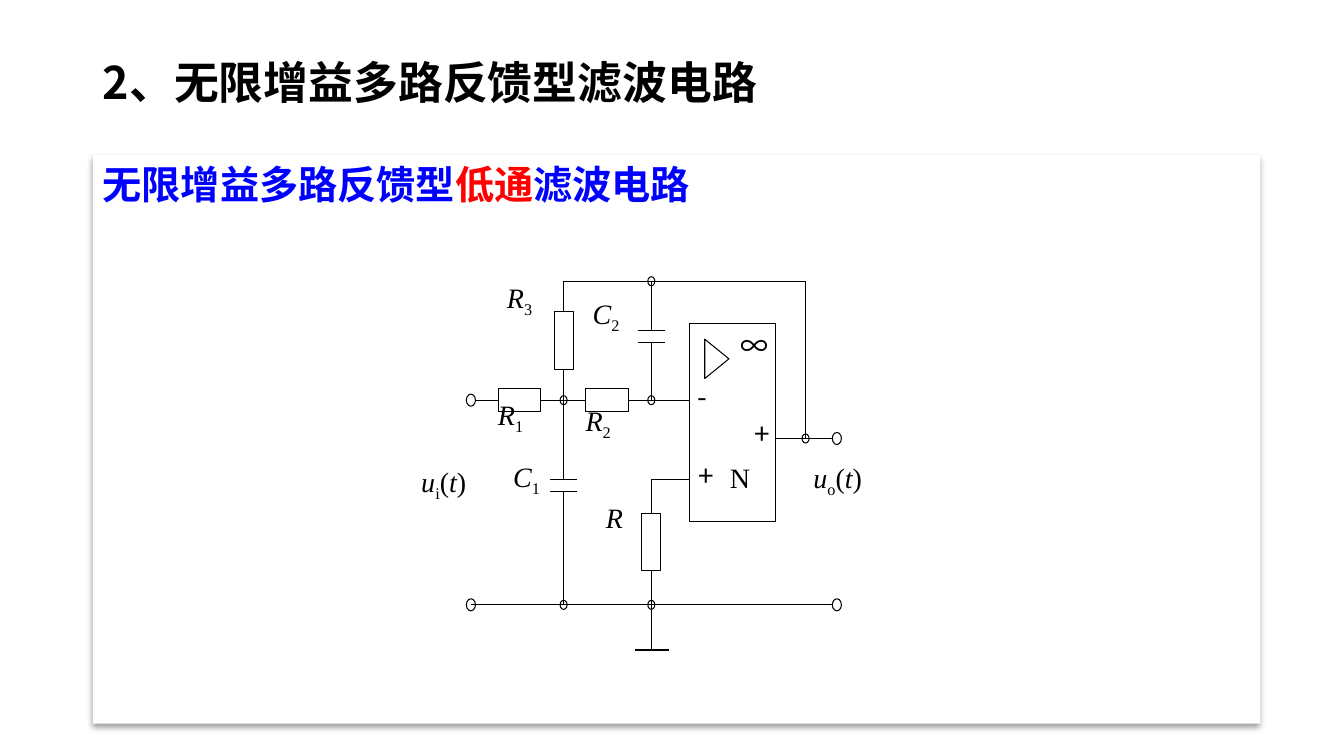
import pptx
import pptx.util
import pptx.dml.color
import pptx.enum.shapes
import pptx.enum.text
import pptx.oxml
import pptx.oxml.ns
from lxml import etree

RGB = pptx.dml.color.RGBColor
SHAPE = pptx.enum.shapes.MSO_SHAPE
ALIGN = pptx.enum.text.PP_ALIGN
ANCHOR = pptx.enum.text.MSO_ANCHOR
inches = pptx.util.Inches
qn = pptx.oxml.ns.qn

BLACK, WHITE = RGB(0, 0, 0), RGB(255, 255, 255)
BLUE, RED = RGB(0, 0, 255), RGB(255, 0, 0)
SANS, SERIF = "Noto Sans CJK SC", "Times New Roman"

# Content: a run is (text, style), where style is "", "i" (italic) or "sub", or a colour
TITLE = [("2、无限增益多路反馈型滤波电路", BLACK)]
SUBTITLE = [("无限增益多路反馈型", BLUE), ("低通", RED), ("滤波电路", BLUE)]

# Columns and rows of the circuit, in inches
IN, SUM, INV, AMP, AMP_END, FEED, OUT = 4.67, 5.59, 6.46, 6.84, 7.69, 7.99, 8.3
TOP, MID, OUTPUT, PLUS, GROUND, EARTH = 2.79, 3.97, 4.35, 4.76, 6.0, 6.45
LEAD = 0.05      # radius of a terminal along the wire
GAP = 0.12       # distance between capacitor plates
PLATE = 0.27
AMP_TOP, AMP_HEIGHT = 3.21, 1.96

# Resistors: centre and direction
RESISTORS = {
    "R1": (5.15, MID, "across"),
    "R2": (6.02, MID, "across"),
    "R3": (SUM, 3.38, "down"),
    "R": (INV, 5.38, "down"),
}
# Capacitors: column, upper plate, upper end of lead, lower end of lead
CAPACITORS = [(INV, 3.28, TOP, MID), (SUM, PLUS, MID, GROUND)]
NODES = [(INV, TOP), (SUM, MID), (INV, MID), (FEED, OUTPUT), (SUM, GROUND), (INV, GROUND)]
TERMINALS = [(IN, MID), (OUT, OUTPUT), (IN, GROUND), (OUT, GROUND)]

# Wires: an end is a point or a resistor with its side (0 top, 1 left, 2 bottom, 3 right)
WIRES = [
    ((IN + LEAD, MID), ("R1", 1)),
    (("R1", 3), ("R2", 1)),
    (("R2", 3), (AMP, MID)),
    ((SUM, TOP), ("R3", 0)),
    (("R3", 2), (SUM, MID)),
    ((SUM, TOP), (FEED, TOP)),
    ((FEED, TOP), (FEED, OUTPUT)),
    ((AMP_END, OUTPUT), (OUT - LEAD, OUTPUT)),
    ((INV, PLUS), (AMP, PLUS)),
    ((INV, PLUS), ("R", 0)),
    (("R", 2), (INV, EARTH)),
    ((IN, GROUND), (OUT - LEAD, GROUND)),
]

# Labels: left, top, width, height, runs
LABELS = [
    (5.78, 2.89, 0.72, 0.84, [("C", "i"), ("2", "sub")]),
    (4.84, 3.89, 0.83, 0.71, [("R", "i"), ("1", "sub")]),
    (4.93, 2.73, 0.97, 1.04, [("R", "i"), ("3", "sub")]),
    (5.71, 3.95, 0.70, 0.69, [("R", "i"), ("2", "sub")]),
    (4.99, 4.51, 0.85, 0.83, [("C", "i"), ("1", "sub")]),
    (5.91, 4.92, 0.58, 0.68, [("R", "i")]),
    (4.08, 4.56, 0.97, 0.83, [("u", "i"), ("i", "sub"), ("(", ""), ("t", "i"), (")", "")]),
    (7.97, 4.52, 0.90, 0.56, [("u", "i"), ("o", "sub"), ("(", ""), ("t", "i"), (")", "")]),
]
# Marks inside the amplifier: left, top, width, height, text, font
AMP_MARKS = [
    (7.34, 3.26, 0.26, 0.34, "∞", SANS),
    (6.92, 3.76, 0.24, 0.48, "-", SANS),
    (6.93, 4.55, 0.20, 0.42, "+", SANS),
    (7.48, 4.13, 0.22, 0.39, "+", SANS),
    (7.24, 4.57, 0.24, 0.47, "N", SERIF),
]

deck = pptx.Presentation()
deck.slide_width, deck.slide_height = inches(13.33), inches(7.5)
slide = deck.slides.add_slide(deck.slide_layouts[5])


def write(holder, runs, font=SERIF, size=20, bold=False, align=ALIGN.JUSTIFY,
          spacing=1.0, inset=None, anchor=ANCHOR.TOP, hanging=0):
    frame = holder.text_frame
    frame.word_wrap = True
    frame.auto_size = pptx.enum.text.MSO_AUTO_SIZE.NONE
    frame.vertical_anchor = anchor
    if inset is not None:
        frame.margin_left = frame.margin_right = inches(inset)
        frame.margin_top = frame.margin_bottom = inches(inset)
    paragraph = frame.paragraphs[0]
    paragraph.alignment = align
    paragraph.line_spacing = spacing
    if hanging:
        props = paragraph._p.get_or_add_pPr()
        props.set("marL", str(inches(hanging)))
        props.set("indent", str(-inches(hanging)))
    for text, style in runs:
        run = paragraph.add_run()
        run.text = text
        run.font.size, run.font.bold, run.font.name = pptx.util.Pt(size), bold, font
        run.font.italic = style == "i"
        run.font.color.rgb = style if isinstance(style, RGB) else BLACK
        props = run._r.get_or_add_rPr()
        if style == "sub":
            props.set("baseline", "-25000")
        etree.SubElement(props, qn("a:ea")).set("typeface", font)


def text_box(left, top, width, height, runs, **style):
    box = slide.shapes.add_textbox(inches(left), inches(top), inches(width), inches(height))
    write(box, runs, **style)


def outline(kind, x, y, width, height):
    """Unfilled shape centred on x, y."""
    shape = slide.shapes.add_shape(kind, inches(x - width / 2), inches(y - height / 2),
                                   inches(width), inches(height))
    shape.shadow.inherit = False
    shape.fill.background()
    shape.line.color.rgb = BLACK
    shape.line.width = pptx.util.Pt(0.75)
    return shape


def wire(start, end, weight=0.75):
    points = [(0, 0) if isinstance(tip[0], str) else tip for tip in (start, end)]
    line = slide.shapes.add_connector(pptx.enum.shapes.MSO_CONNECTOR.STRAIGHT,
                                      *[inches(value) for point in points for value in point])
    for tip, join in ((start, line.begin_connect), (end, line.end_connect)):
        if isinstance(tip[0], str):
            join(resistors[tip[0]], tip[1])
    line.line.color.rgb = BLACK
    line.line.width = pptx.util.Pt(weight)
    etree.SubElement(line._element.spPr, qn("a:effectLst"))


# Panel with a soft shadow, behind everything
panel = slide.shapes.add_shape(SHAPE.RECTANGLE, inches(0.92), inches(1.54), inches(11.58), inches(5.64))
panel.fill.solid()
panel.fill.fore_color.rgb = WHITE
panel.line.fill.background()
panel._element.spPr.append(pptx.oxml.parse_xml(
    '<a:effectLst xmlns:a="http://schemas.openxmlformats.org/drawingml/2006/main">'
    '<a:outerShdw blurRad="50800" dist="38100" dir="5400000" rotWithShape="0">'
    '<a:srgbClr val="000000"><a:alpha val="40000"/></a:srgbClr>'
    '</a:outerShdw></a:effectLst>'))

# Title and subtitle
title = slide.shapes.title
title.left, title.top, title.width, title.height = map(inches, (0.92, 0.52, 11.5, 0.65))
write(title, TITLE, font=SANS, size=32, bold=True, align=ALIGN.LEFT, spacing=0.9,
      anchor=ANCHOR.MIDDLE, hanging=0.38)
text_box(0.92, 1.31, 11.5, 5.44, SUBTITLE, font=SANS, size=28, bold=True,
         align=ALIGN.LEFT, spacing=1.5)

# Amplifier
outline(SHAPE.RECTANGLE, (AMP + AMP_END) / 2, AMP_TOP + AMP_HEIGHT / 2, AMP_END - AMP, AMP_HEIGHT)
outline(SHAPE.ISOSCELES_TRIANGLE, 7.11, 3.56, 0.39, 0.24).rotation = 90
for *place, mark, font in AMP_MARKS:
    text_box(*place, [(mark, "")], font=font, inset=0)

# Resistors, wires and capacitors
resistors = {}
for name, (x, y, direction) in RESISTORS.items():
    size = (0.42, 0.23) if direction == "across" else (0.19, 0.57)
    resistors[name] = outline(SHAPE.RECTANGLE, x, y, *size)
for start, end in WIRES:
    wire(start, end)
for x, plate, upper, lower in CAPACITORS:
    wire((x, upper), (x, plate))
    wire((x, plate + GAP), (x, lower))
    for y in (plate, plate + GAP):
        wire((x - PLATE / 2, y), (x + PLATE / 2, y))
wire((INV - 0.16, EARTH), (INV + 0.18, EARTH), weight=1.5)

# Nodes, terminals and labels
for points, size in ((NODES, (0.07, 0.09)), (TERMINALS, (0.09, 0.12))):
    for x, y in points:
        outline(SHAPE.OVAL, x, y, *size)
for *place, runs in LABELS:
    text_box(*place, runs)

deck.save("out.pptx")
